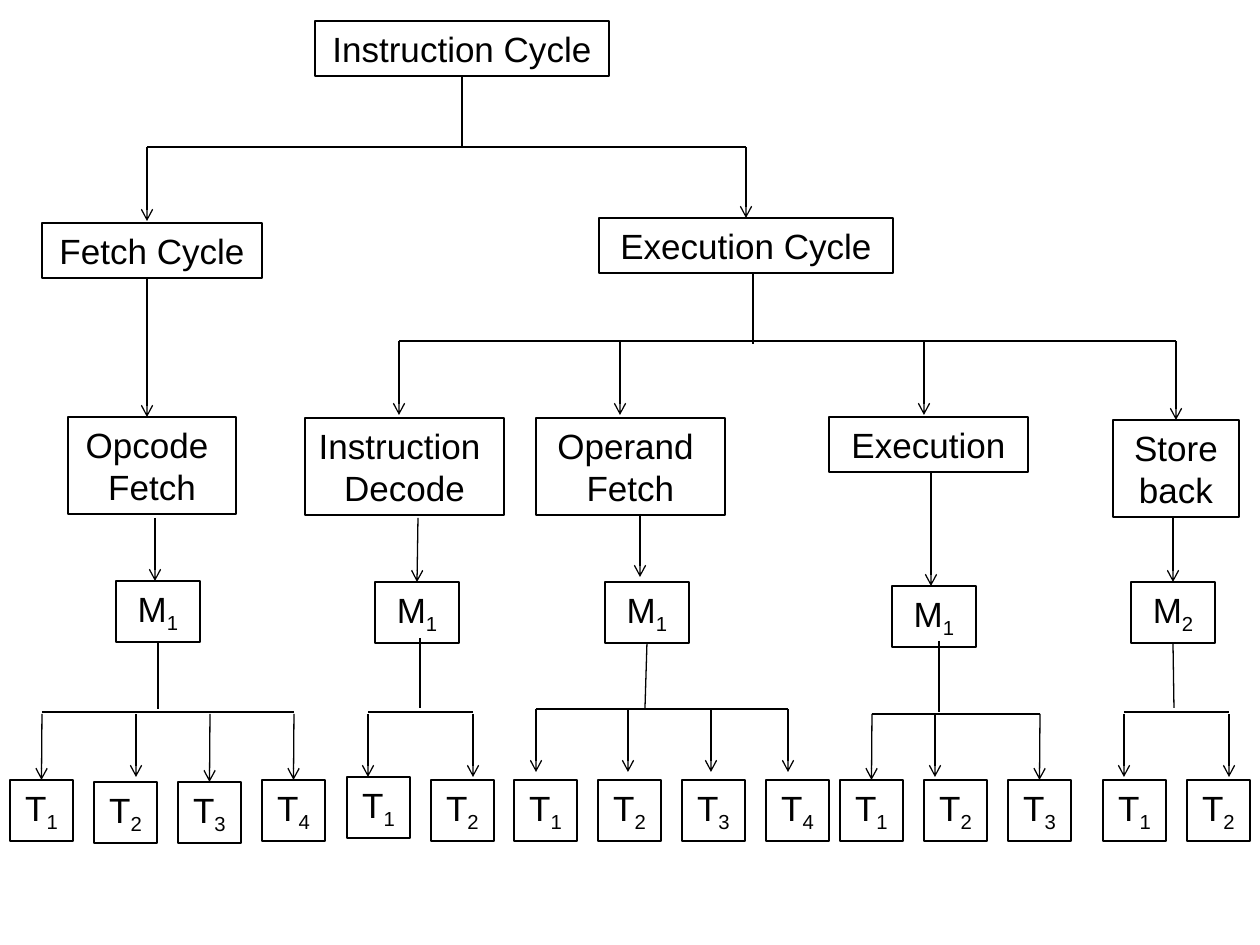
from dataclasses import dataclass
from typing import Optional

from lxml import etree
from pptx import Presentation
from pptx import util as u
from pptx.dml import color
from pptx.enum import shapes, text
from pptx.oxml import ns
from pptx.shapes.autoshape import Shape
from pptx.shapes.connector import Connector
from pptx.slide import Slide

EMU_PER_PX = 914400 / 126


@dataclass(frozen=True)
class Theme:
    ink: color.RGBColor = color.RGBColor(0, 0, 0)
    font: str = "Arial"
    text_size: int = 20
    line_width: float = 0.75
    subscript: str = "-25000"


@dataclass(frozen=True)
class Box:
    left: int
    top: int
    width: int
    height: int
    label: str
    subscript: str = ""


@dataclass(frozen=True)
class Line:
    x1: int
    y1: int
    x2: int
    y2: int
    arrow: bool = False


@dataclass(frozen=True)
class Branch:
    stem_x: int
    stem_top: int
    stem_bottom: int
    bar_y: int
    drops: tuple[int, ...]
    drop_top: int
    drop_bottom: int


@dataclass(frozen=True)
class Step:
    box: Box
    arrow: Line
    machine_left: int
    machine_top: int
    machine_number: str
    branch: Branch
    first_state_left: int
    state_tops: tuple[int, ...]


THEME = Theme()
STATE_PITCH = 84
SNAP_X, SNAP_Y = 2, 6

CYCLES = (
    Box(315, 21, 294, 55, "Instruction Cycle"),
    Box(42, 223, 220, 55, "Fetch Cycle"),
    Box(599, 218, 294, 55, "Execution Cycle"),
)
CYCLE_BRANCHES = (
    Branch(462, 76, 147, 147, (147, 746), 147, 221),
    Branch(753, 273, 344, 341, (399, 620, 924, 1176), 341, 415),
)
FETCH_ARROW = Line(147, 278, 147, 417, True)
STEPS = (
    Step(Box(68, 417, 168, 97, "Opcode \nFetch"), Line(155, 518, 155, 581, True),
         116, 581, "1", Branch(158, 639, 709, 712, (42, 136, 210, 294), 714, 777),
         10, (780, 782, 782, 780)),
    Step(Box(305, 418, 199, 97, "Instruction \nDecode"), Line(418, 518, 418, 581, True),
         375, 582, "1", Branch(420, 638, 708, 712, (368, 473), 714, 777),
         347, (777, 780)),
    Step(Box(536, 418, 189, 97, "Operand \nFetch"), Line(640, 514, 640, 577, True),
         605, 582, "1", Branch(645, 638, 708, 709, (536, 628, 711, 788), 709, 772),
         514, (780,) * 4),
    Step(Box(829, 417, 199, 55, "Execution"), Line(931, 473, 931, 586, True),
         892, 586, "1", Branch(939, 641, 712, 714, (872, 935, 1040), 714, 777),
         840, (780,) * 3),
    Step(Box(1113, 420, 126, 97, "Store back"), Line(1173, 518, 1173, 581, True),
         1131, 582, "2", Branch(1174, 638, 708, 712, (1124, 1229), 714, 777),
         1103, (780,) * 2),
)


def px(length: float) -> u.Emu:
    return u.Emu(round(length * EMU_PER_PX))


def draw_box(slide: Slide, box: Box) -> Shape:
    shape = slide.shapes.add_shape(
        shapes.MSO_SHAPE.RECTANGLE, px(box.left), px(box.top), px(box.width), px(box.height))
    shape.shadow.inherit = False
    shape.fill.background()
    shape.line.color.rgb = THEME.ink
    shape.line.width = u.Pt(THEME.line_width)
    frame = shape.text_frame
    frame.word_wrap = True
    frame.auto_size = text.MSO_AUTO_SIZE.SHAPE_TO_FIT_TEXT
    frame.vertical_anchor = text.MSO_ANCHOR.TOP
    frame.text = box.label
    if box.subscript:
        run = frame.paragraphs[0].add_run()
        run.text = box.subscript
        run._r.get_or_add_rPr().set("baseline", THEME.subscript)
    for paragraph in frame.paragraphs:
        paragraph.alignment = text.PP_ALIGN.CENTER
        for run in paragraph.runs:
            run.font.name = THEME.font
            run.font.size = u.Pt(THEME.text_size)
            run.font.color.rgb = THEME.ink
    return shape


def box_at(boxes: list[Shape], x: int, y: int, bottom: bool) -> Optional[Shape]:
    for shape in boxes:
        side = shape.top + (shape.height if bottom else 0)
        middle = shape.left + shape.width / 2
        if abs(middle - px(x)) <= px(SNAP_X) and abs(side - px(y)) <= px(SNAP_Y):
            return shape
    return None


def draw_line(slide: Slide, line: Line, boxes: list[Shape]) -> Connector:
    connector = slide.shapes.add_connector(
        shapes.MSO_CONNECTOR.STRAIGHT, px(line.x1), px(line.y1), px(line.x2), px(line.y2))
    connector.line.color.rgb = THEME.ink
    connector.line.width = u.Pt(THEME.line_width)
    if line.arrow:
        etree.SubElement(connector.line._get_or_add_ln(), ns.qn("a:tailEnd"), type="arrow")
    etree.SubElement(connector._element.spPr, ns.qn("a:effectLst"))
    source = box_at(boxes, line.x1, line.y1, bottom=True)
    target = box_at(boxes, line.x2, line.y2, bottom=False)
    if source is not None:
        connector.begin_connect(source, 2)
    if target is not None:
        connector.end_connect(target, 0)
    return connector


def branch_lines(branch: Branch) -> list[Line]:
    stem = Line(branch.stem_x, branch.stem_top, branch.stem_x, branch.stem_bottom)
    bar = Line(branch.drops[0], branch.bar_y, branch.drops[-1], branch.bar_y)
    drops = [Line(x, branch.drop_top, x, branch.drop_bottom, True) for x in branch.drops]
    return [stem, bar, *drops]


def step_boxes(step: Step) -> list[Box]:
    machine = Box(step.machine_left, step.machine_top, 84, 61, "M", step.machine_number)
    states = [
        Box(step.first_state_left + index * STATE_PITCH, top, 63, 61, "T", str(index + 1))
        for index, top in enumerate(step.state_tops)
    ]
    return [step.box, machine, *states]


def main() -> None:
    presentation = Presentation()
    presentation.slide_width, presentation.slide_height = px(1260), px(945)
    slide = presentation.slides.add_slide(presentation.slide_layouts[6])

    boxes = [draw_box(slide, box) for box in CYCLES]
    for step in STEPS:
        boxes += [draw_box(slide, box) for box in step_boxes(step)]

    lines = [FETCH_ARROW]
    for branch in CYCLE_BRANCHES:
        lines += branch_lines(branch)
    for step in STEPS:
        lines += [step.arrow, *branch_lines(step.branch)]
    for line in lines:
        draw_line(slide, line, boxes)

    presentation.save("out.pptx")


if __name__ == "__main__":
    main()
